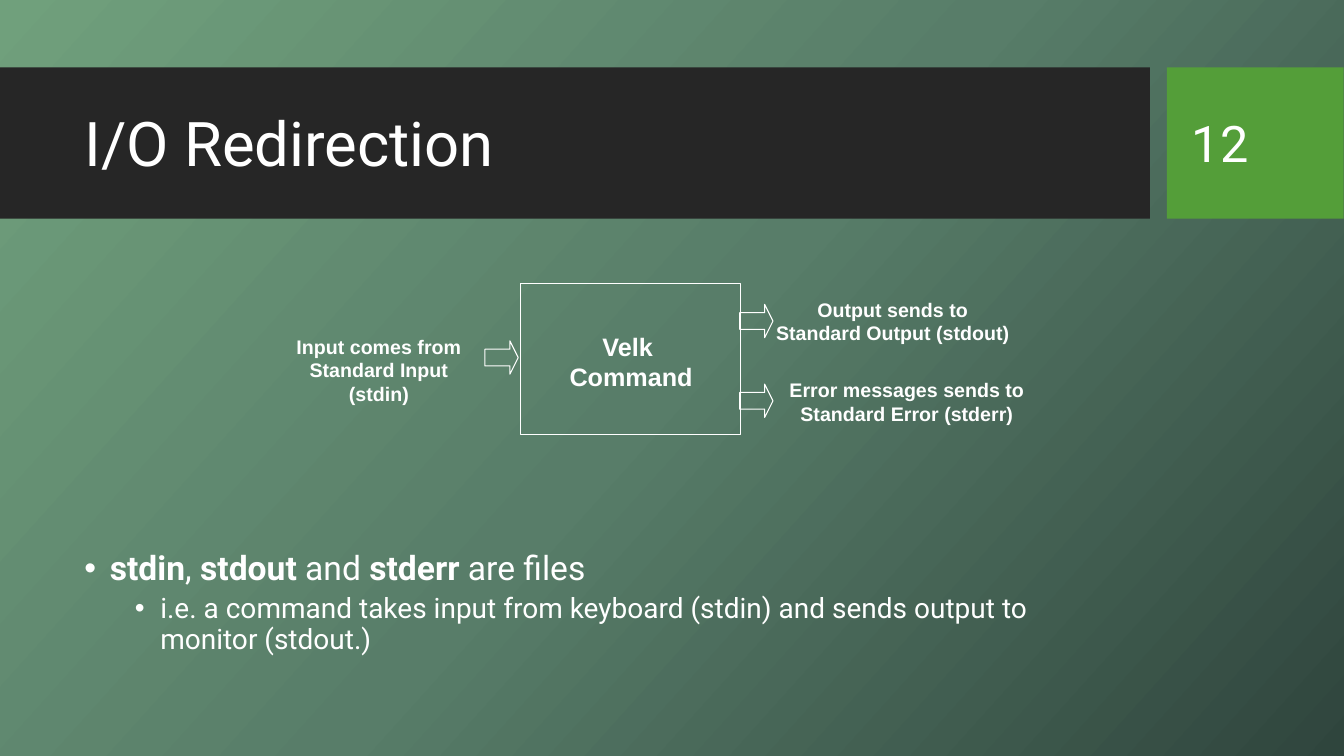
"""Build the I/O Redirection slide with its stream diagram."""
import copy
from dataclasses import dataclass

import lxml.etree
import pptx
import pptx.dml.color
import pptx.enum.shapes
import pptx.enum.text
import pptx.oxml.ns
import pptx.util

COLORS = {
    "white": "FFFFFF",
    "band": "262626",
    "accent": "549E39",
    "light": "70A07C",
    "middle": "587D69",
    "dark": "2F453D",
}
SHAPES = pptx.enum.shapes.MSO_SHAPE
ALIGN = pptx.enum.text.PP_ALIGN
ANCHOR = pptx.enum.text.MSO_ANCHOR
ARROW_SIZE = 0.84
OUTPUT_ARROW_LEFT = 18.64


@dataclass
class Box:
    left: float
    top: float
    width: float
    height: float

    def lengths(self) -> list[pptx.util.Cm]:
        return [pptx.util.Cm(value) for value in (self.left, self.top, self.width, self.height)]


@dataclass
class Block:
    box: Box
    kind: SHAPES
    fill: str | None = None


@dataclass
class Label:
    box: Box
    lines: list[str]
    size: int
    font: str = "Arial"
    bold: bool = True
    align: ALIGN = ALIGN.CENTER
    anchor: ANCHOR = ANCHOR.TOP
    wrap: bool = True


@dataclass
class Bullet:
    runs: list[tuple[str, bool]]
    size: int
    level: int
    indent: float
    space_before: int


def arrow(left: float, top: float) -> Block:
    return Block(Box(left, top, ARROW_SIZE, ARROW_SIZE), SHAPES.RIGHT_ARROW)


BLOCKS = [
    Block(Box(0, 1.7, 28.98, 3.81), SHAPES.RECTANGLE, "band"),
    Block(Box(29.41, 1.7, 4.45, 3.81), SHAPES.RECTANGLE, "accent"),
    Block(Box(13.11, 7.14, 5.56, 3.81), SHAPES.RECTANGLE),
    arrow(12.22, 8.59),
    arrow(OUTPUT_ARROW_LEFT, 7.67),
    arrow(OUTPUT_ARROW_LEFT, 9.68),
]
LABELS = [
    Label(Box(1.88, 2.08, 26.7, 3), ["I/O Redirection"], 44, "Roboto", False, ALIGN.LEFT, ANCHOR.MIDDLE),
    Label(Box(29.79, 2.08, 3.2, 3.02), ["12"], 36, "Roboto", False, ALIGN.LEFT, ANCHOR.MIDDLE),
    Label(Box(13.34, 8.23, 5.13, 1.78), ["Velk ", "Command"], 18),
    Label(Box(6.96, 8.31, 5.18, 2.06), ["Input comes from", "Standard Input (stdin)"], 14),
    Label(Box(19.3, 7.37, 6.4, 1.45), ["Output sends to", "Standard Output (stdout)"], 14, wrap=False),
    Label(Box(19.63, 9.4, 6.45, 1.45), ["Error messages sends to", "Standard Error (stderr)"], 14, wrap=False),
]
BODY = Box(1.88, 13.77, 26.7, 4.83)
BULLETS = [
    Bullet(
        [("stdin", True), (", ", False), ("stdout", True), (" and ", False), ("stderr", True), (" are files", False)],
        24, 0, 0.64, 0,
    ),
    Bullet(
        [("i.e. a command takes input from keyboard (stdin) and sends output to monitor (stdout.)", False)],
        20, 1, 1.91, 5,
    ),
]


def color(name: str) -> pptx.dml.color.RGBColor:
    return pptx.dml.color.RGBColor.from_string(COLORS[name])


def style_font(font, name: str, size: int, bold: bool) -> None:
    font.name = name
    font.size = pptx.util.Pt(size)
    font.bold = bold
    font.color.rgb = color("white")


def paint_background(slide) -> None:
    fill = slide.background.fill
    fill.gradient()
    fill.gradient_angle = 318
    stop_list = slide.element.xpath(".//a:gsLst")[0]
    stop_list.insert(1, copy.deepcopy(stop_list[0]))
    stops = zip(fill.gradient_stops, ("light", "middle", "dark"), (0, 0.5, 1))
    for stop, name, position in stops:
        stop.color.rgb = color(name)
        stop.position = position


def draw_block(slide, block: Block) -> None:
    shape = slide.shapes.add_shape(block.kind, *block.box.lengths())
    shape.shadow.inherit = False
    if block.kind == SHAPES.RIGHT_ARROW:
        shape.adjustments[0] = 0.5
        shape.adjustments[1] = 0.25
    if block.fill:
        shape.fill.solid()
        shape.fill.fore_color.rgb = color(block.fill)
        shape.line.fill.background()
    else:
        shape.fill.background()
        shape.line.color.rgb = color("white")
        shape.line.width = pptx.util.Pt(0.75)


def draw_label(slide, label: Label) -> None:
    text_frame = slide.shapes.add_textbox(*label.box.lengths()).text_frame
    text_frame.word_wrap = label.wrap
    text_frame.vertical_anchor = label.anchor
    text_frame.text = "\n".join(label.lines)
    for paragraph in text_frame.paragraphs:
        paragraph.alignment = label.align
        for run in paragraph.runs:
            style_font(run.font, label.font, label.size, label.bold)


def write_bullet(paragraph, bullet: Bullet) -> None:
    paragraph.level = bullet.level
    paragraph.line_spacing = 0.9
    paragraph.space_before = pptx.util.Pt(bullet.space_before)
    for text, bold in bullet.runs:
        run = paragraph.add_run()
        run.text = text
        style_font(run.font, "Roboto", bullet.size, bold)
    properties = paragraph._p.get_or_add_pPr()
    properties.set("marL", str(pptx.util.Cm(bullet.indent)))
    properties.set("indent", str(-pptx.util.Cm(0.64)))
    qualified = pptx.oxml.ns.qn
    lxml.etree.SubElement(properties, qualified("a:buFont")).set("typeface", "Arial")
    lxml.etree.SubElement(properties, qualified("a:buChar")).set("char", "•")


def draw_body(slide) -> None:
    text_frame = slide.shapes.add_textbox(*BODY.lengths()).text_frame
    text_frame.word_wrap = True
    for index, bullet in enumerate(BULLETS):
        paragraph = text_frame.add_paragraph() if index else text_frame.paragraphs[0]
        write_bullet(paragraph, bullet)


def main() -> None:
    presentation = pptx.Presentation()
    presentation.slide_width = pptx.util.Cm(33.87)
    presentation.slide_height = pptx.util.Cm(19.05)
    slide = presentation.slides.add_slide(presentation.slide_layouts[6])
    paint_background(slide)
    for block in BLOCKS:
        draw_block(slide, block)
    for label in LABELS:
        draw_label(slide, label)
    draw_body(slide)
    presentation.save("out.pptx")


if __name__ == "__main__":
    main()
